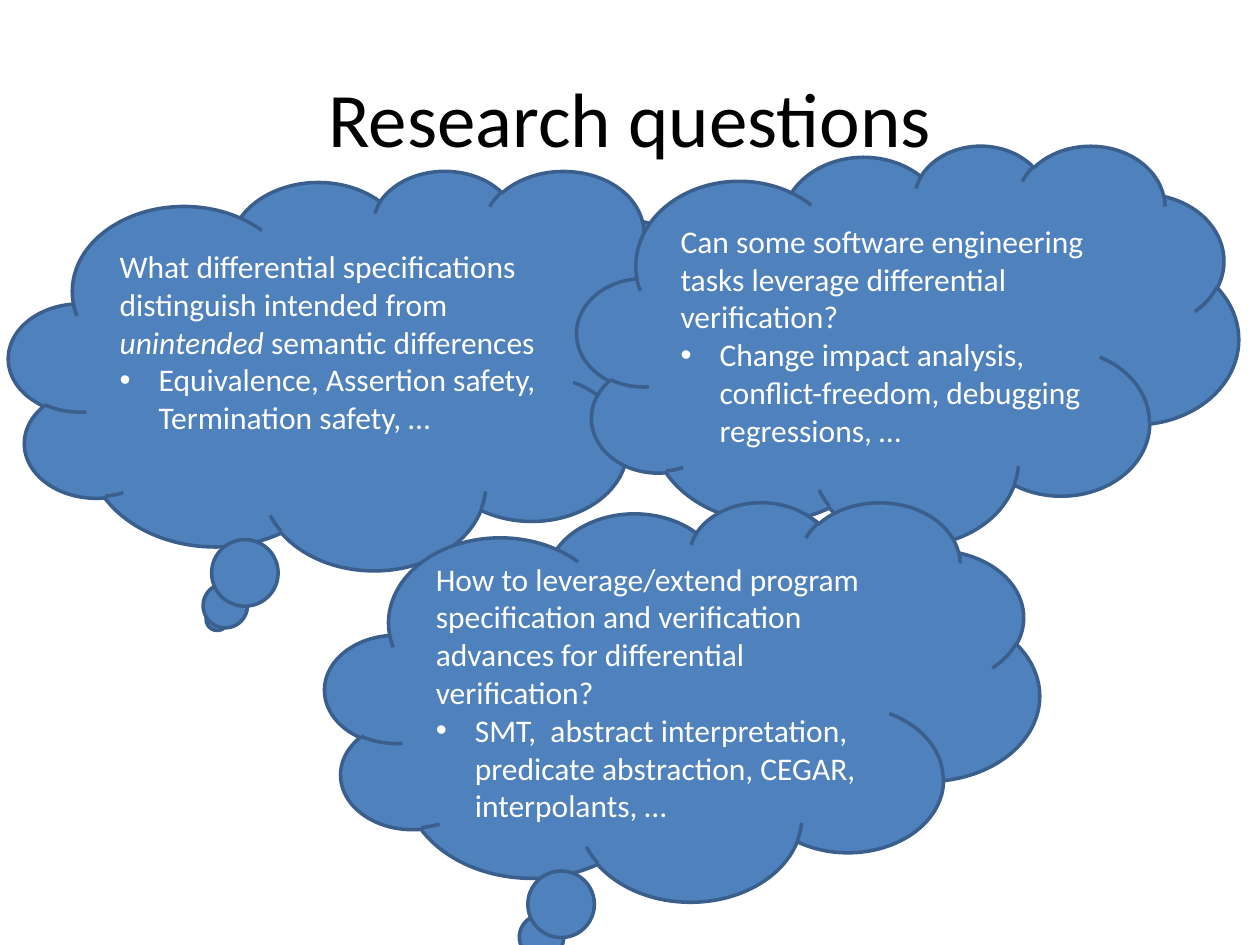
from dataclasses import dataclass

from lxml import etree
from pptx import Presentation
from pptx.dml.color import RGBColor
from pptx.enum.shapes import MSO_SHAPE
from pptx.enum.text import MSO_ANCHOR, PP_ALIGN
from pptx.oxml.ns import qn
from pptx.util import Inches, Pt

CLOUD = MSO_SHAPE.CLOUD_CALLOUT
MIDDLE = MSO_ANCHOR.MIDDLE
LEFT, CENTER = PP_ALIGN.LEFT, PP_ALIGN.CENTER
TITLE_ONLY = 5


@dataclass(frozen=True)
class Theme:
    font: str = "Calibri"
    title_size: int = 44
    body_size: int = 18
    title_color: RGBColor = RGBColor(0, 0, 0)
    body_color: RGBColor = RGBColor(255, 255, 255)
    cloud_fill: RGBColor = RGBColor(0x4F, 0x81, 0xBD)
    cloud_line: RGBColor = RGBColor(0x3A, 0x5F, 0x8C)
    line_width: int = 2
    bullet_indent: float = 0.31


@dataclass(frozen=True)
class Question:
    left: float
    top: float
    width: float
    runs: tuple[tuple[str, bool], ...]  # text, italic
    examples: str
    bottom_inset: float = 0.05


THEME = Theme()
CLOUD_HEIGHT = 3.17

QUESTIONS = (
    Question(0.07, 1.35, 5.67,
             (("What differential specifications distinguish intended from ", False),
              ("unintended ", True),
              ("semantic differences", False)),
             "Equivalence, Assertion safety, Termination safety, …",
             bottom_inset=0.35),
    Question(4.58, 1.15, 5.25,
             (("Can some software engineering tasks leverage differential verification?", False),),
             "Change impact analysis, conflict-freedom, debugging regressions, …"),
    Question(2.58, 3.98, 5.67,
             (("How to leverage/extend program specification and verification "
               "advances for differential verification?", False),),
             "SMT,  abstract interpretation, predicate abstraction, CEGAR, interpolants, …"),
)


def add_text(paragraph, text: str, *, size: int = THEME.body_size,
             color: RGBColor = THEME.body_color, italic: bool = False,
             align: PP_ALIGN = LEFT) -> None:
    """Append one formatted run to a paragraph."""
    paragraph.alignment = align
    run = paragraph.add_run()
    run.text = text
    run.font.name = THEME.font
    run.font.size = Pt(size)
    run.font.italic = italic
    run.font.color.rgb = color


def add_bullet(paragraph) -> None:
    """Give a paragraph a hanging bullet."""
    properties = paragraph._p.get_or_add_pPr()
    indent = Inches(THEME.bullet_indent)
    properties.set("marL", str(indent))
    properties.set("indent", str(-indent))
    etree.SubElement(properties, qn("a:buFont")).set("typeface", "Arial")
    etree.SubElement(properties, qn("a:buChar")).set("char", "•")


def add_title(slide, text: str) -> None:
    title = slide.shapes.title
    title.left, title.top = Inches(0.5), Inches(0.3)
    title.width, title.height = Inches(9), Inches(1.25)
    title.text_frame.vertical_anchor = MIDDLE
    add_text(title.text_frame.paragraphs[0], text, size=THEME.title_size,
             color=THEME.title_color, align=CENTER)


def add_question(slide, question: Question) -> None:
    # Cloud
    shape = slide.shapes.add_shape(CLOUD, Inches(question.left), Inches(question.top),
                                   Inches(question.width), Inches(CLOUD_HEIGHT))
    shape.shadow.inherit = False
    shape.fill.solid()
    shape.fill.fore_color.rgb = THEME.cloud_fill
    shape.line.color.rgb = THEME.cloud_line
    shape.line.width = Pt(THEME.line_width)

    # Question and its examples
    frame = shape.text_frame
    frame.word_wrap = True
    frame.vertical_anchor = MIDDLE
    frame.margin_bottom = Inches(question.bottom_inset)
    for text, italic in question.runs:
        add_text(frame.paragraphs[0], text, italic=italic)
    examples = frame.add_paragraph()
    add_text(examples, question.examples)
    add_bullet(examples)


def main() -> None:
    presentation = Presentation()
    presentation.slide_width, presentation.slide_height = Inches(10), Inches(7.5)
    slide = presentation.slides.add_slide(presentation.slide_layouts[TITLE_ONLY])
    add_title(slide, "Research questions")
    for question in QUESTIONS:
        add_question(slide, question)
    presentation.save("out.pptx")


if __name__ == "__main__":
    main()
